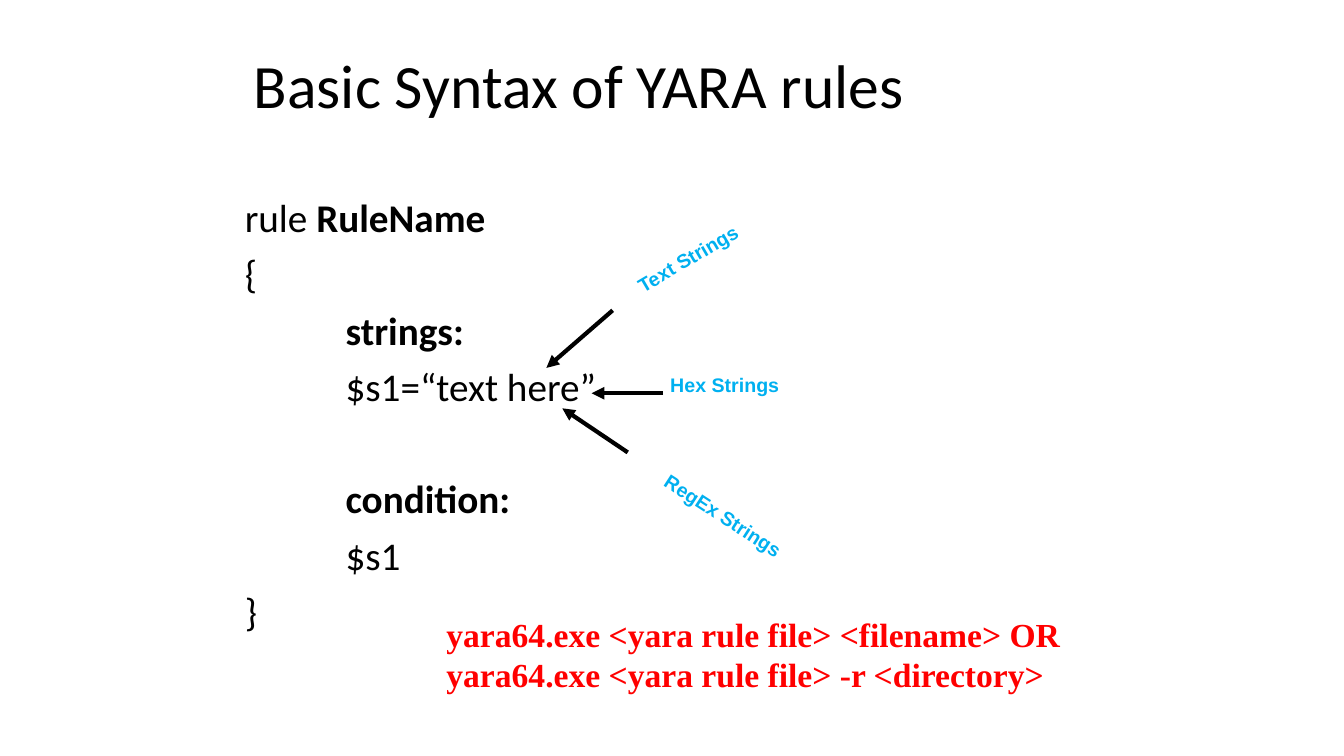
from lxml.etree import SubElement
from pptx import Presentation
from pptx.dml.color import RGBColor
from pptx.enum.shapes import MSO_CONNECTOR as Connector
from pptx.enum.text import MSO_ANCHOR as Anchor, MSO_AUTO_SIZE as AutoSize
from pptx.oxml.ns import qn
from pptx.util import Cm, Pt

COLORS = {"text": "000000", "label": "00B0F0", "command": "FF0000"}

RULE_LINES = [
    (0, 0, [("rule ", False), ("RuleName", True)]),
    (0, 10, [("{", False)]),
    (2.54, 10, [("strings:", True)]),
    (2.54, 10, [("$s1=“text here”", False)]),
    (2.54, 50, [("condition:", True)]),
    (2.54, 10, [("$s1", False)]),
    (0, 10, [("}", False)]),
]

STRING_TYPES = [
    ("Text Strings", (6.15 + 9.52, 6.07, 3.38, 0.86), 329.5),
    ("Hex Strings", (16.64, 9.27, 3.28, 0.86), 0),
    ("RegEx Strings", (16.28, 12.57, 3.91, 0.86), 32.9),
]

ARROWS = [
    (16.71, 9.91, 14.91, 9.91),
    (15.44, 7.82, 13.77, 9.27),
    (15.82, 11.4, 14.17, 10.29),
]

COMMANDS = [
    "yara64.exe <yara rule file> <filename> OR",
    "yara64.exe <yara rule file> -r <directory>",
]


class SlideBuilder:
    def __init__(self, slide, colors):
        self.slide = slide
        self.colors = colors

    def color(self, name):
        return RGBColor.from_string(self.colors[name])

    def style(self, run, size, font, color, bold=False):
        run.font.size = Pt(size)
        run.font.name = font
        run.font.bold = bold
        run.font.color.rgb = self.color(color)

    def text(self, box, lines, size, font, color, bold=False,
             anchor=Anchor.TOP, wrap=True, spacing=None):
        shape = self.slide.shapes.add_textbox(*map(Cm, box))
        frame = shape.text_frame
        frame.text = "\n".join(lines)
        frame.word_wrap = wrap
        frame.vertical_anchor = anchor
        for paragraph in frame.paragraphs:
            paragraph.line_spacing = spacing
            for run in paragraph.runs:
                self.style(run, size, font, color, bold)
        return shape

    def label(self, text, box, rotation):
        shape = self.text(box, [text], 14, "Arial", "label", bold=True, wrap=False)
        shape.text_frame.auto_size = AutoSize.SHAPE_TO_FIT_TEXT
        shape.rotation = rotation

    def code(self, box, lines):
        frame = self.slide.shapes.add_textbox(*map(Cm, box)).text_frame
        frame.word_wrap = True
        for index, (indent, space_before, parts) in enumerate(lines):
            paragraph = frame.add_paragraph() if index else frame.paragraphs[0]
            paragraph.line_spacing = 0.9
            paragraph.space_before = Pt(space_before)
            paragraph._p.get_or_add_pPr().set("marL", str(Cm(indent)))
            for text, bold in parts:
                run = paragraph.add_run()
                run.text = text
                self.style(run, 28, "Calibri", "text", bold)

    def arrow(self, ends):
        connector = self.slide.shapes.add_connector(Connector.STRAIGHT, *map(Cm, ends))
        connector.line.width = Pt(3)
        connector.line.color.rgb = self.color("text")
        SubElement(connector.line._get_or_add_ln(), qn("a:tailEnd"), type="triangle")
        SubElement(connector._element.spPr, qn("a:effectLst"))


def main():
    presentation = Presentation()
    presentation.slide_width = Cm(33.87)
    presentation.slide_height = Cm(19.05)
    slide = presentation.slides.add_slide(presentation.slide_layouts[6])
    builder = SlideBuilder(slide, COLORS)

    builder.text((6.15, 1.07, 21.59, 2.34), ["Basic Syntax of YARA rules"],
                 44, "Calibri", "text", anchor=Anchor.MIDDLE, spacing=0.9)
    builder.code((5.92, 4.88, 21.59, 12.7), RULE_LINES)
    for text, box, rotation in STRING_TYPES:
        builder.label(text, box, rotation)
    for ends in ARROWS:
        builder.arrow(ends)
    builder.text((11, 15.32, 16.94, 2.34), COMMANDS, 24, "Times New Roman",
                 "command", bold=True, anchor=Anchor.MIDDLE)

    presentation.save("out.pptx")


if __name__ == "__main__":
    main()
